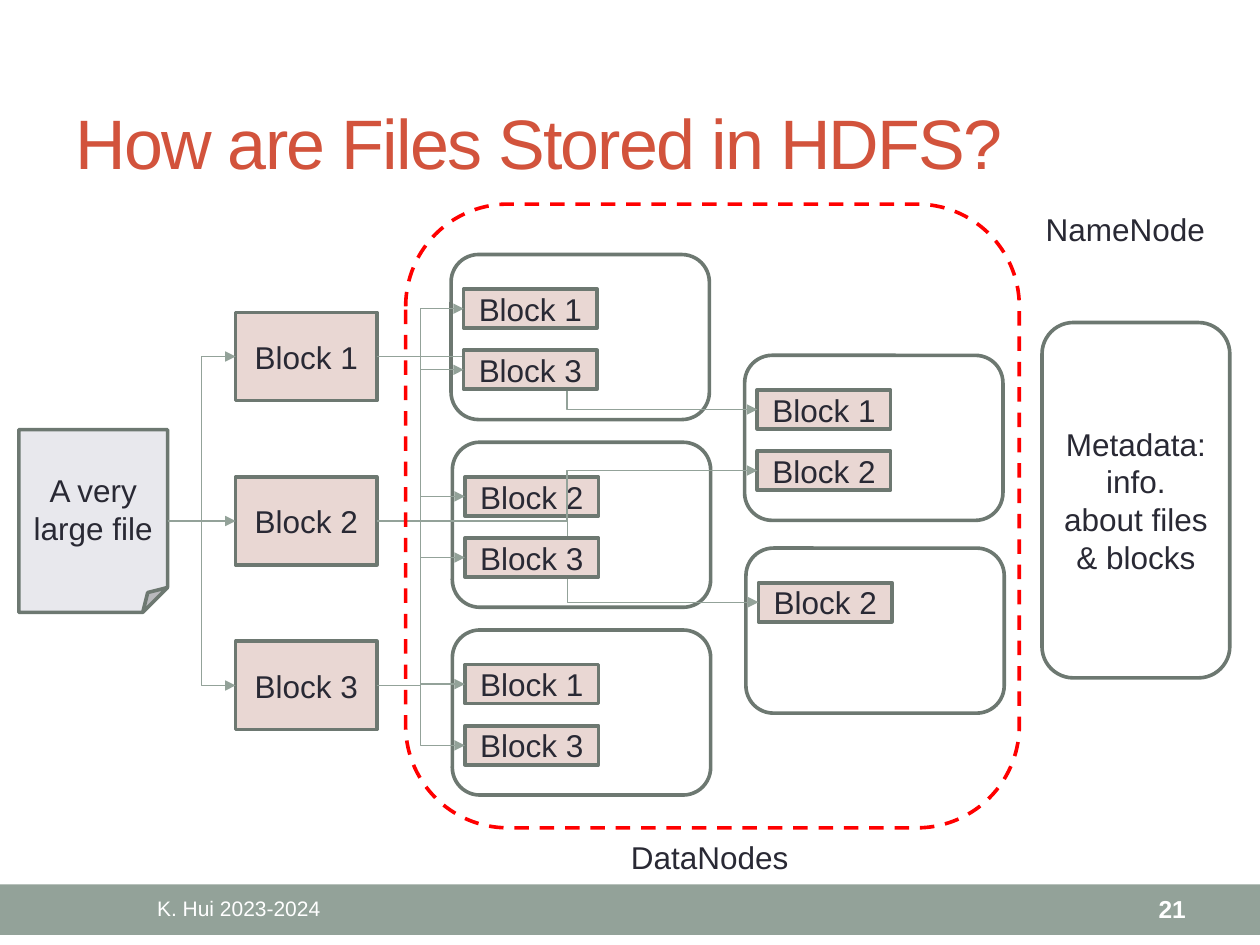
import pptx
import pptx.util
import pptx.dml.color
import pptx.enum.dml
import pptx.enum.shapes
import pptx.enum.text
import pptx.oxml

SHAPES = pptx.enum.shapes.MSO_SHAPE
ALIGN = pptx.enum.text.PP_ALIGN
ANCHOR = pptx.enum.text.MSO_ANCHOR
INK, EDGE, SAGE, ROSE = "292934", "6D7871", "93A299", "E9D7D3"

deck = pptx.Presentation()
deck.slide_width = pptx.util.Inches(10)
deck.slide_height = pptx.util.Inches(7.5)
# The slide is a grid of 100 columns and 75 rows
COLUMN = deck.slide_width // 100
ROW = deck.slide_height // 75
page = deck.slides.add_slide(deck.slide_layouts[5])


def paint(target, color):
    """Give a fill or a font a solid colour."""
    if hasattr(target, "solid"):
        target.solid()
        target.fore_color.rgb = pptx.dml.color.RGBColor.from_string(color)
    else:
        target.color.rgb = pptx.dml.color.RGBColor.from_string(color)


def put(left, top, width, height, text="", kind=None, box=None, fill=None, line=None,
        size=18, color=INK, bold=False, align=ALIGN.CENTER, anchor=ANCHOR.MIDDLE, wrap=True):
    """Place a shape, a text box (no kind) or a given placeholder on the grid."""
    area = [round(left * COLUMN), round(top * ROW), round(width * COLUMN), round(height * ROW)]
    if box is not None:
        box.left, box.top, box.width, box.height = area
    elif kind is None:
        box = page.shapes.add_textbox(*area)
    else:
        box = page.shapes.add_shape(kind, *area)
        box.shadow.inherit = False
        if fill:
            paint(box.fill, fill)
        else:
            box.fill.background()
        if line:
            paint(box.line.fill, line)
            box.line.width = pptx.util.Pt(2.08)
        else:
            box.line.fill.background()
    if text:
        box.text_frame.word_wrap = wrap
        box.text_frame.vertical_anchor = anchor
        para = box.text_frame.paragraphs[0]
        para.alignment = align
        span = para.add_run()
        span.text = text
        span.font.name = "Arial"
        span.font.size = pptx.util.Pt(size)
        span.font.bold = bold
        paint(span.font, color)
    return box


# Title and footer
title = put(5, 5.8, 90, 10.8, "How are Files Stored in HDFS?", box=page.shapes.title,
            size=40, color="D2533C", align=ALIGN.LEFT)
title.text_frame.paragraphs[0].runs[0].font._element.set("spc", "-100")
put(0, 70.2, 100, 4, kind=SHAPES.RECTANGLE, fill=SAGE)
put(5, 70.3, 27.9, 3.6, "K. Hui 2023-2024", size=12, color="FFFFFF")
put(83.4, 70.3, 11.7, 3.6, "21", size=14, color="FFFFFF", bold=True, align=ALIGN.RIGHT)

# Source file and the data nodes
large_file = put(1.5, 34.1, 11.8, 14.5, "A very large file", kind=SHAPES.FOLDED_CORNER,
                 fill="E8E8ED", line=EDGE)
nodes = [(35.8, 20.2), (35.9, 35.1), (35.9, 50), (59.1, 28.2), (59.2, 43.5)]
for left, top in nodes:
    put(left, top, 20.5, 13.1, kind=SHAPES.ROUNDED_RECTANGLE, line=EDGE)

# Blocks of the file, each with its replicas as (node, slot in the node)
replicas = {
    "Block 1": [(0, 0), (2, 0), (3, 0)],
    "Block 2": [(1, 0), (3, 1), (4, 0)],
    "Block 3": [(0, 1), (1, 1), (2, 1)],
}
blocks = [put(18.7, 24.8 + 13.05 * index, 11.2, 7, name, kind=SHAPES.RECTANGLE,
              fill=ROSE, line=EDGE) for index, name in enumerate(replicas)]
fans = [(large_file, blocks)]
for block, (name, spots) in zip(blocks, replicas.items()):
    copies = [put(nodes[node][0] + 1, nodes[node][1] + 2.75 + 4.85 * slot, 10.6, 3.1, name,
                  kind=SHAPES.RECTANGLE, fill=ROSE, line=EDGE) for node, slot in spots]
    fans.append((block, copies))

# Arrows fan out from each right side to the left sides of the targets
for source, targets in fans:
    for target in targets:
        arrow = page.shapes.add_connector(pptx.enum.shapes.MSO_CONNECTOR.ELBOW, 0, 0, 0, 0)
        arrow.begin_connect(source, 3)
        arrow.end_connect(target, 1)
        # The connection site sits at the middle of each side
        arrow.begin_x = source.left + source.width
        arrow.begin_y = source.top + source.height // 2
        arrow.end_x = target.left
        arrow.end_y = target.top + target.height // 2
        paint(arrow.line.fill, SAGE)
        arrow.line.width = pptx.util.Pt(0.75)
        pptx.oxml.ns  # namespace helpers for the two elements below
        head = arrow.line._get_or_add_ln().makeelement(pptx.oxml.ns.qn("a:tailEnd"), {"type": "triangle"})
        arrow.line._get_or_add_ln().append(head)
        effects = head.makeelement(pptx.oxml.ns.qn("a:effectLst"), {})
        arrow._element.spPr.append(effects)
    # Replicas drawn later cover the arrows of earlier blocks
    if source is not large_file:
        following = fans[fans.index((source, targets)) + 1:]
        for _, later_targets in following:
            for later in later_targets:
                page.shapes._spTree.append(later._element)

# Name node
put(82, 16.2, 14.8, 4, "NameNode", align=ALIGN.LEFT, anchor=ANCHOR.TOP, wrap=False)
put(82.7, 25.6, 14.9, 28.2, "Metadata: info. about files & blocks",
    kind=SHAPES.ROUNDED_RECTANGLE, line=EDGE)

# Frame around the data nodes
put(49.1, 66, 14.6, 4, "DataNodes", align=ALIGN.LEFT, anchor=ANCHOR.TOP, wrap=False)
frame = put(32.2, 16.2, 48.7, 49.5, kind=SHAPES.ROUNDED_RECTANGLE, line="FF0000")
frame.line.dash_style = pptx.enum.dml.MSO_LINE.DASH

deck.save("out.pptx")
